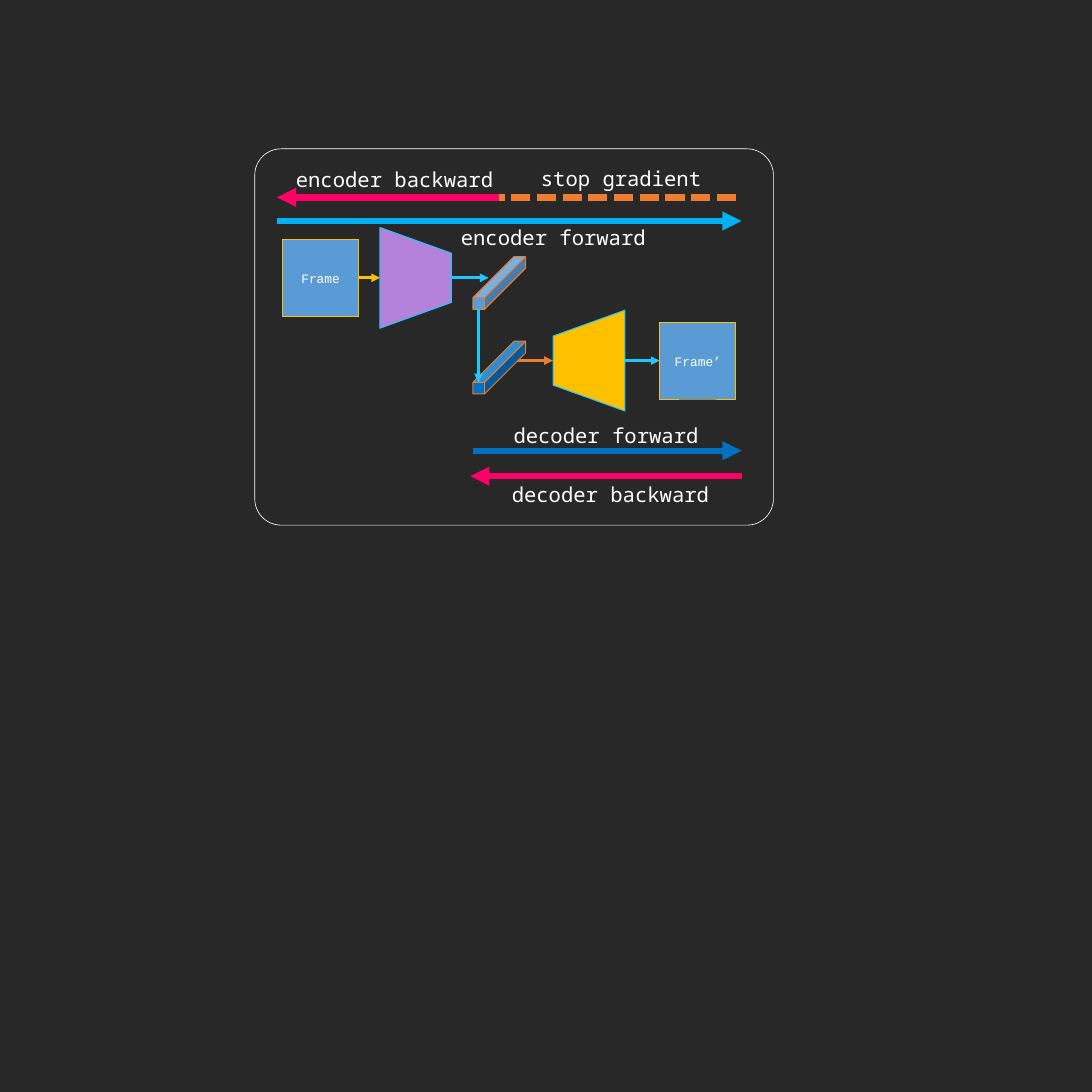
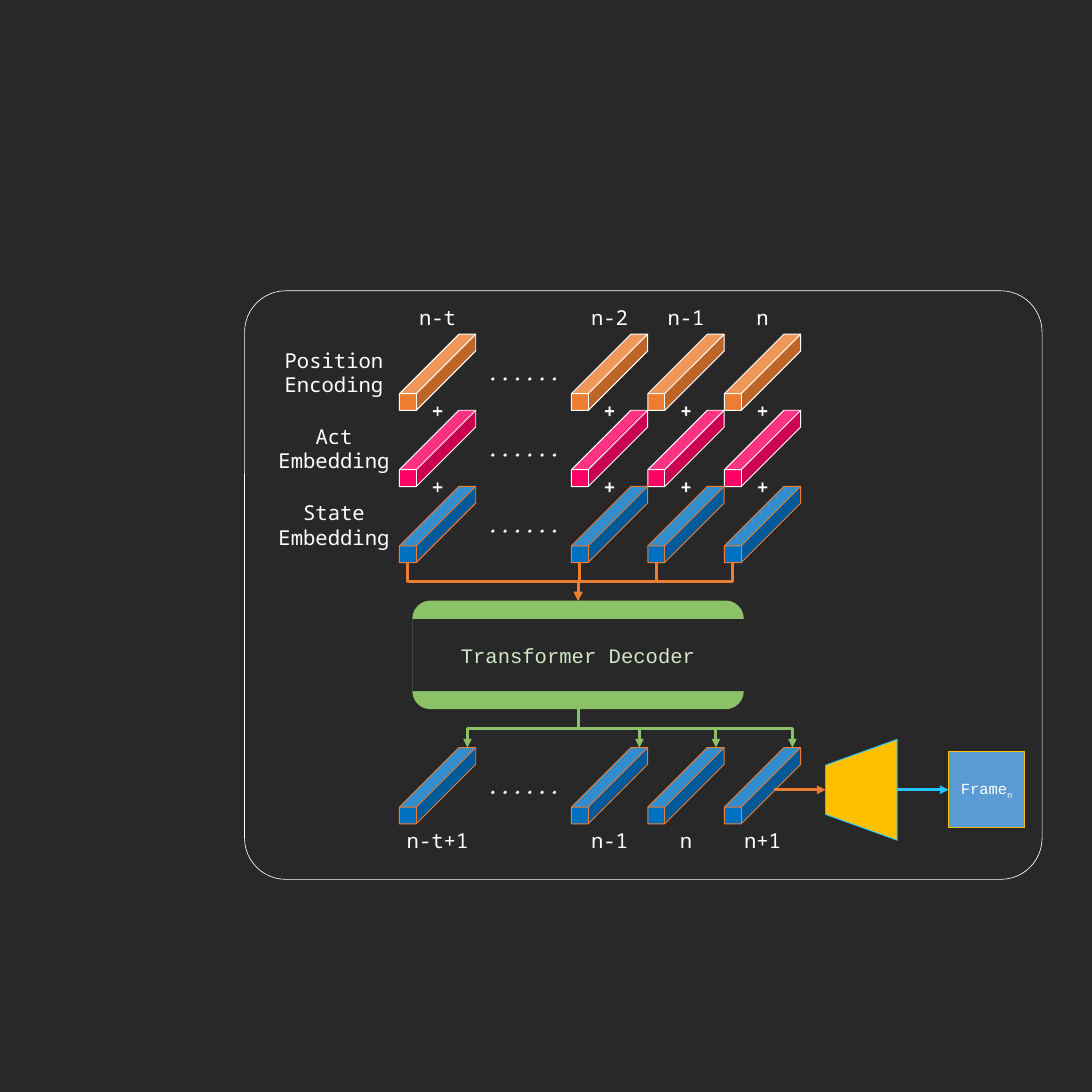
from pptx import Presentation
from pptx.dml.color import RGBColor
from pptx.enum.dml import MSO_LINE
from pptx.enum.shapes import MSO_CONNECTOR as CONN, MSO_SHAPE as SHAPE
from pptx.enum.text import MSO_ANCHOR, PP_ALIGN
from pptx.oxml import parse_xml
from pptx.oxml.ns import nsdecls, qn
from pptx.oxml.xmlchemy import OxmlElement
from pptx.util import Pt

DARK = RGBColor(0x28, 0x28, 0x28)
WHITE = RGBColor(0xFF, 0xFF, 0xFF)
BLUE = RGBColor(0x00, 0x70, 0xC0)
LIGHT_BLUE = RGBColor(0x5B, 0x9B, 0xD5)
SKY = RGBColor(0x00, 0xB0, 0xF0)
CYAN = RGBColor(0x21, 0xC5, 0xFF)
GOLD = RGBColor(0xFF, 0xC0, 0x00)
ORANGE = RGBColor(0xED, 0x7D, 0x31)
PINK = RGBColor(0xFF, 0x00, 0x66)
PURPLE = RGBColor(0xB4, 0x82, 0xDA)
GREEN = RGBColor(0x8B, 0xC1, 0x67)
PALE_GREEN = RGBColor(0xD2, 0xE6, 0xC4)

LABEL_FONT = "Noto Sans Mono"
BLOCK_FONT = "Courier New"
SIDE = 1700.64
BLOCK = 118.8
COLUMNS = (622.1, 889.9, 1009, 1128.2)
ROW_TOP, ROW_STEP = 520.4, 118.5
OUTPUT_TOP = 1164.2
DOTS_X = 815.4
DECODER_X, DECODER_TOP, DECODER_W, DECODER_H = 900.3, 935.3, 516.2, 169.2


def add_text(tf, lines, size, font, color):
    tf.word_wrap = True
    tf.margin_left = tf.margin_right = tf.margin_top = tf.margin_bottom = 0
    tf.vertical_anchor = MSO_ANCHOR.MIDDLE
    for i, line in enumerate(lines):
        p = tf.paragraphs[0] if i == 0 else tf.add_paragraph()
        p.alignment = PP_ALIGN.CENTER
        r = p.add_run()
        r.text = line
        r.font.size = Pt(size)
        r.font.name = font
        r.font.color.rgb = color
    return r


def add_label(s, text, cx, cy, w=330, h=42):
    sp = s.shapes.add_textbox(Pt(cx - w / 2), Pt(cy - h / 2), Pt(w), Pt(h))
    return add_text(sp.text_frame, text.split("\n"), 32, LABEL_FONT, WHITE)


def add_symbol(s, text, cx, cy):
    r = add_label(s, text, cx, cy, 139)
    r.font.bold = True
    r.font._element.insert(0, parse_xml(
        f'<a:ln {nsdecls("a")} w="9525"><a:solidFill>'
        f'<a:srgbClr val="{DARK}"/></a:solidFill></a:ln>'))


def add_block(s, kind, x, y, w, h, fill, line=None, width=1.5, adj=None):
    sp = s.shapes.add_shape(kind, Pt(x), Pt(y), Pt(w), Pt(h))
    sp.shadow.inherit = False
    sp.fill.solid()
    sp.fill.fore_color.rgb = fill
    if line is None:
        sp.line.fill.background()
    else:
        sp.line.color.rgb = line
        sp.line.width = Pt(width)
    if adj is not None:
        sp.adjustments[0] = adj
    return sp


def add_panel(s, x, y, w, h):
    add_block(s, SHAPE.ROUNDED_RECTANGLE, x, y, w, h, DARK, WHITE, 1, 0.07)


def add_frame(s, x, y, text, size):
    sp = add_block(s, SHAPE.RECTANGLE, x, y, BLOCK, BLOCK, LIGHT_BLUE, GOLD)
    add_text(sp.text_frame, [text], size, BLOCK_FONT, WHITE)
    return sp


def add_cube(s, x, y, fill, line=ORANGE, size=BLOCK):
    add_block(s, SHAPE.CUBE, x, y, size, size, fill, line, adj=0.78)


def add_coder(s, cx, cy, fill, rotation):
    w, h = 157, 111.6
    sp = add_block(s, SHAPE.TRAPEZOID, cx - w / 2, cy - h / 2, w, h, fill, CYAN, adj=0.36)
    sp.rotation = rotation


def add_line(s, x1, y1, x2, y2, color, width=4.5, kind=CONN.STRAIGHT, head=True):
    c = s.shapes.add_connector(kind, Pt(x1), Pt(y1), Pt(x2), Pt(y2))
    c.line.color.rgb = color
    c.line.width = Pt(width)
    if head:
        tail = OxmlElement("a:tailEnd")
        tail.set("type", "triangle")
        c.line._get_or_add_ln().append(tail)
    c._element.spPr.append(OxmlElement("a:effectLst"))
    return c


def add_elbow_down(s, x1, y1, x2, y2, color):
    cx, cy = (x1 + x2) / 2, (y1 + y2) / 2
    half_w, half_h = (y2 - y1) / 2, abs(x2 - x1) / 2
    rotation = 90 if x2 < x1 else 270
    if rotation == 270:
        half_w = -half_w
    c = add_line(s, cx - half_w, cy - half_h, cx + half_w, cy + half_h, color, kind=CONN.ELBOW)
    c._element.spPr.find(qn("a:xfrm")).set("rot", str(rotation * 60000))


def add_cube_row(s, y, fill, line=ORANGE):
    for x in COLUMNS:
        add_cube(s, x, y, fill, line)
    add_symbol(s, "......", DOTS_X, y + BLOCK / 2)


def add_column_labels(s, labels, cy):
    for x, text in zip(COLUMNS, labels):
        add_label(s, text, x + BLOCK / 2, cy, 116)


def build_autoencoder(s):
    add_panel(s, 396.7, 231.8, 807.8, 586.1)
    encoder_y, decoder_y = 432.7, 561.6
    add_frame(s, 439.9, 373.7, "Frame", 20)
    add_frame(s, 1027.4, 502.6, "Frame\u2019", 20)
    add_line(s, 558.7, encoder_y, 591.8, encoder_y, GOLD)
    add_line(s, 802.8, decoder_y, 861.1, decoder_y, ORANGE)
    add_line(s, 972.7, decoder_y, 1027.4, decoder_y, CYAN)
    add_coder(s, 647.3, encoder_y, PURPLE, 90)
    add_coder(s, 917.3, decoder_y, GOLD, 270)
    add_cube(s, 736.6, 531.4, BLUE, size=82.1)
    add_cube(s, 736.6, 399.6, LIGHT_BLUE, size=82.1)
    add_line(s, 745.2, 481, 745.2, 595.4, CYAN)
    add_line(s, 703.4, encoder_y, 761, encoder_y, CYAN)
    for x1, x2, y, color in (
        (431.3, 1154.9, 344.2, SKY),
        (777.6, 431.3, 307.4, PINK),
        (736.6, 1154.9, 702, BLUE),
        (1155.6, 732.2, 741.6, PINK),
    ):
        add_line(s, x1, y, x2, y, color, 10)
    stop = add_line(s, 1146.2, 307.4, 777.6, 307.4, ORANGE, 10, head=False)
    stop.line.dash_style = MSO_LINE.SQUARE_DOT
    for text, cx, cy in (
        ("encoder forward", 861.8, 369.7),
        ("encoder backward", 614.5, 279),
        ("stop gradient", 967.3, 278.3),
        ("decoder forward", 943.9, 677.2),
        ("decoder backward", 950.8, 770),
    ):
        add_label(s, text, cx, cy)


def build_transformer(s):
    add_panel(s, 380.9, 452.9, 1242, 916.6)
    rows = (
        ("Position\nEncoding", ORANGE, WHITE),
        ("Act\nEmbedding", PINK, WHITE),
        ("State\nEmbedding", BLUE, ORANGE),
    )
    for i, (text, fill, line) in enumerate(rows):
        y = ROW_TOP + i * ROW_STEP
        add_cube_row(s, y, fill, line)
        add_label(s, text, 520.2, y + BLOCK / 2, 190.8, 76)
        if i:
            for x in COLUMNS:
                add_symbol(s, "+", x + BLOCK / 2, y)
    add_column_labels(s, ("n-t", "n-2", "n-1", "n"), 493.9)

    left = DECODER_X - DECODER_W / 2
    add_block(s, SHAPE.ROUNDED_RECTANGLE, left, DECODER_TOP, DECODER_W, DECODER_H, GREEN)
    sp = add_block(s, SHAPE.RECTANGLE, left, DECODER_TOP + 28.8, DECODER_W, 112.3, DARK)
    add_text(sp.text_frame, ["Transformer Decoder"], 32, BLOCK_FONT, PALE_GREEN)

    add_cube_row(s, OUTPUT_TOP, BLUE)
    add_column_labels(s, ("n-t+1", "n-1", "n", "n+1"), 1308.2)
    cubes_bottom = ROW_TOP + 2 * ROW_STEP + BLOCK
    for x in COLUMNS:
        add_elbow_down(s, x + 12.9, cubes_bottom, DECODER_X, DECODER_TOP, ORANGE)
        add_elbow_down(s, DECODER_X, DECODER_TOP + DECODER_H, x + 105.9, OUTPUT_TOP, GREEN)

    y = 1230
    sp = add_frame(s, 1477.4, y - BLOCK / 2, "Frame", 24)
    r = sp.text_frame.paragraphs[0].add_run()
    r.text = "n"
    r.font.size = Pt(24)
    r.font.name = BLOCK_FONT
    r.font.color.rgb = WHITE
    r.font._element.set("baseline", "-25000")
    add_line(s, 1205.3, y, 1285.9, y, ORANGE)
    add_line(s, 1397.5, y, 1477.4, y, CYAN)
    add_coder(s, 1341.4, y, GOLD, 270)


def main():
    prs = Presentation()
    prs.slide_width = prs.slide_height = Pt(SIDE)
    background = prs.slide_master.background.fill
    background.solid()
    background.fore_color.rgb = DARK
    for build in (build_autoencoder, build_transformer):
        build(prs.slides.add_slide(prs.slide_layouts[6]))
    prs.save("out.pptx")


main()
